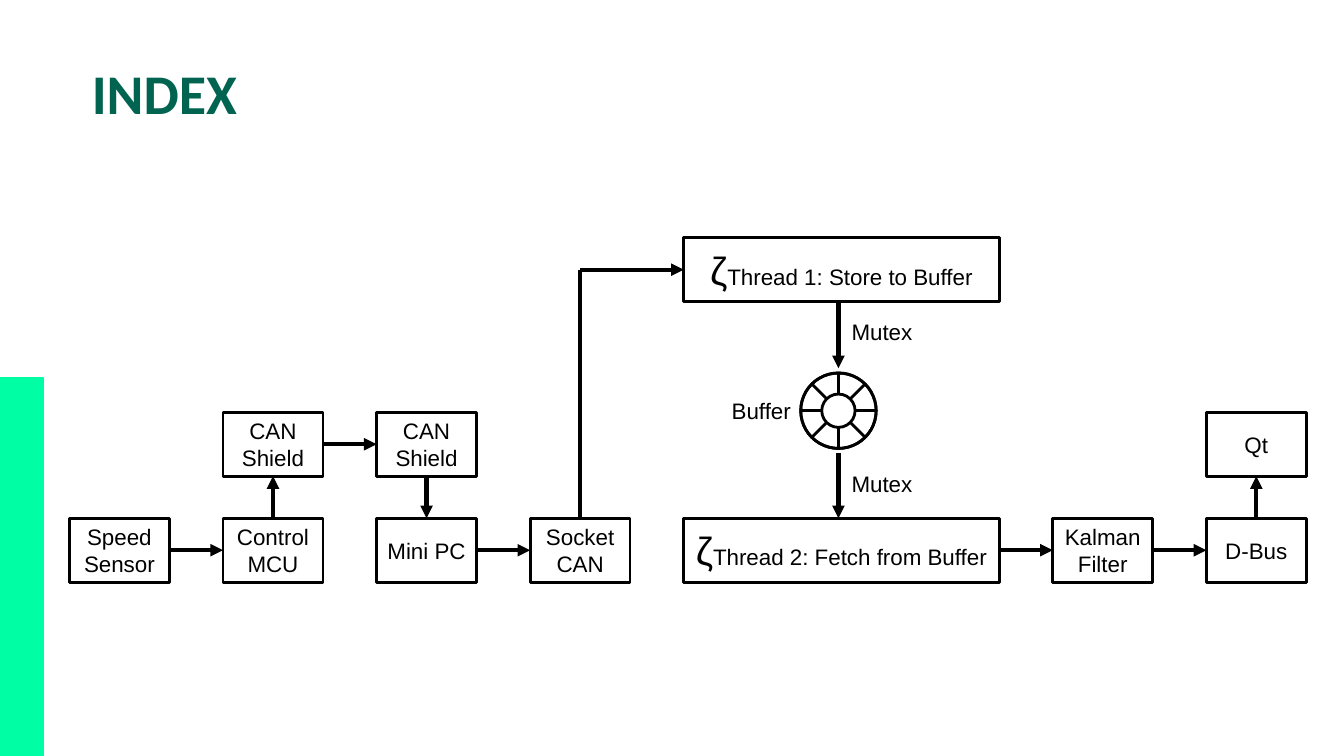
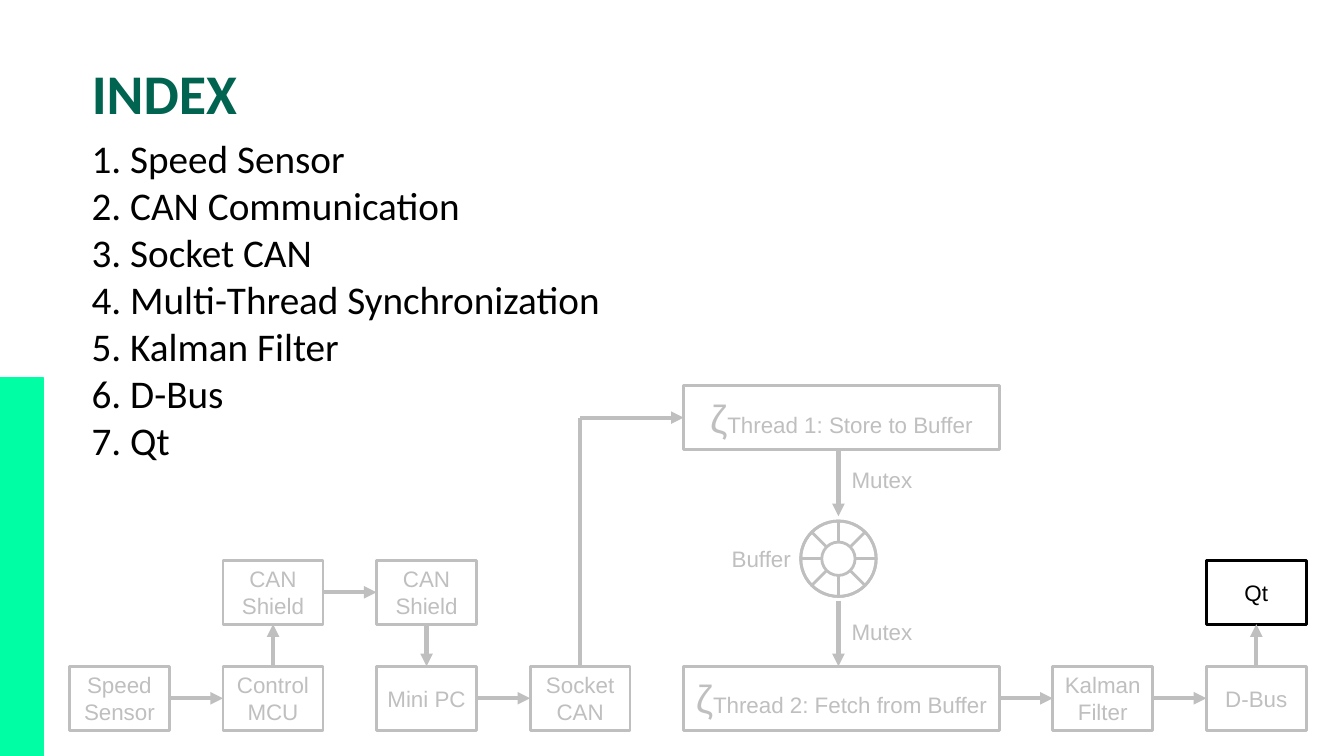
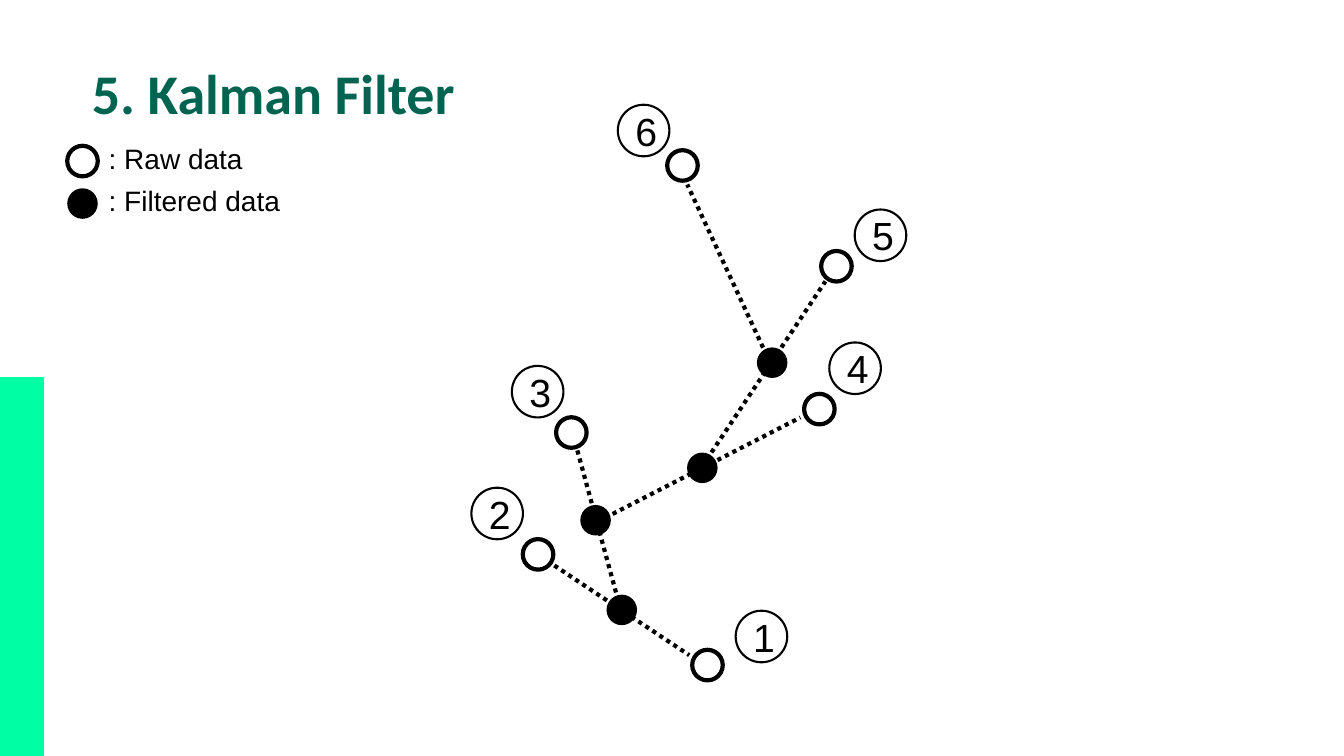
from pptx import Presentation
from pptx import util as u
from pptx.dml.color import RGBColor
from pptx.enum import dml, shapes as sh, text as tx
from pptx.oxml.ns import qn
from lxml import etree

Cm, Pt = u.Cm, u.Pt
BLACK, WHITE, GREY = "000000", "FFFFFF", "BFBFBF"
GREEN, MINT = "006451", "00FFA5"
LEFT, MID = tx.PP_ALIGN.LEFT, tx.PP_ALIGN.CENTER
KIND = sh.MSO_SHAPE


def color(code):
    return RGBColor.from_string(code)


class Deck:
    """Shared style and the slide being drawn."""

    def __init__(self):
        self.show = Presentation()
        self.show.slide_width, self.show.slide_height = Cm(33.87), Cm(19.05)
        self.slide = None

    def page(self, title):
        self.slide = self.show.slides.add_slide(self.show.slide_layouts[5])
        self.shape(KIND.RECTANGLE, 0, 9.53, 1.1, 9.52, MINT, MINT, 1)
        head = self.slide.shapes.title
        head.left, head.top, head.width, head.height = map(
            Cm, (2.06, 1.35, 21.51, 1.96))
        frame = head.text_frame
        frame.vertical_anchor = tx.MSO_ANCHOR.TOP
        frame.auto_size = tx.MSO_AUTO_SIZE.NONE
        self.words(frame, title, 40, GREEN, LEFT, "Calibri", True)

    def words(self, frame, words, size, ink, align=LEFT, face="Arial",
              bold=False):
        frame.word_wrap = True
        frame.text = words
        for para in frame.paragraphs:
            para.alignment = align
            font = para.font
            font.name, font.size, font.bold = face, Pt(size), bold
            font.color.rgb = color(ink)

    def label(self, x, y, w, h, words, size, ink=BLACK, face="Arial"):
        box = self.slide.shapes.add_textbox(Cm(x), Cm(y), Cm(w), Cm(h))
        self.words(box.text_frame, words, size, ink, face=face)

    def shape(self, kind, x, y, w, h, fill=None, line=None, width=2,
              home=None):
        home = home or self.slide
        item = home.shapes.add_shape(kind, Cm(x), Cm(y), Cm(w), Cm(h))
        item.shadow.inherit = False
        if fill:
            item.fill.solid()
            item.fill.fore_color.rgb = color(fill)
        else:
            item.fill.background()
        if line:
            item.line.color.rgb = color(line)
            item.line.width = Pt(width)
        else:
            item.line.fill.background()
        return item

    def disc(self, x, y, size, fill, line=None, width=2, home=None,
             kind=KIND.OVAL):
        """Round shape placed by its centre."""
        return self.shape(kind, x - size / 2, y - size / 2, size, size,
                          fill, line, width, home)

    def box(self, x, y, w, h, words, ink, sign=""):
        item = self.shape(KIND.RECTANGLE, x, y, w, h, WHITE, ink)
        frame = item.text_frame
        self.words(frame, words, 16, ink, MID)
        if sign:
            para = frame.paragraphs[0]
            para.runs[0].text = sign
            para.runs[0].font.size = Pt(28)
            run = para.add_run()
            run.text = words
            run.font.size = Pt(16)
        return item

    def line(self, x1, y1, x2, y2, ink=BLACK, head=False, dots=False):
        link = self.slide.shapes.add_connector(
            sh.MSO_CONNECTOR.STRAIGHT, Cm(x1), Cm(y1), Cm(x2), Cm(y2))
        link.line.color.rgb = color(ink)
        link.line.width = Pt(3)
        if dots:
            link.line.dash_style = dml.MSO_LINE.ROUND_DOT
        props = link._element.spPr
        if head:
            etree.SubElement(props.find(qn("a:ln")), qn("a:tailEnd"),
                             type="triangle")
        etree.SubElement(props, qn("a:effectLst"))
        return link

    def join(self, start, side, end, goal, ink):
        """Arrow between the side middles of two boxes."""
        link = self.line(0, 0, 1, 1, ink, True)
        link.begin_connect(start, side)
        link.end_connect(end, goal)


def flow(deck, base, ink, last):
    """Data flow; base is the top of its bottom row, last the Qt colour."""
    wide, high, gap, span = 2.52, 1.61, 1.35, 7.95
    cols = [1.75 + i * (wide + gap) for i in range(5)]
    cols += [cols[4] + span + gap + i * (wide + gap) for i in range(2)]
    upper, top = base - 2.67, base - 7.07

    # Boxes
    plan = {
        "sensor": (0, base, "Speed Sensor", ink),
        "board": (1, base, "Control\nMCU", ink),
        "send": (1, upper, "CAN\nShield", ink),
        "get": (2, upper, "CAN\nShield", ink),
        "host": (2, base, "Mini PC", ink),
        "socket": (3, base, "Socket\vCAN", ink),
        "filter": (5, base, "Kalman\nFilter", ink),
        "bus": (6, base, "D-Bus", ink),
        "view": (6, upper, "Qt", last),
    }
    box = {key: deck.box(cols[col], y, wide, high, words, tone)
           for key, (col, y, words, tone) in plan.items()}
    for key, y, words in (("store", top, "Thread 1: Store to Buffer"),
                          ("fetch", base, "Thread 2: Fetch from Buffer")):
        box[key] = deck.box(cols[4], y, span, high, words, ink, "ζ")

    # Arrows between boxes: 0 top, 1 left, 2 bottom, 3 right
    for start, side, end, goal in (
            ("sensor", 3, "board", 1), ("board", 0, "send", 2),
            ("send", 3, "get", 1), ("get", 2, "host", 0),
            ("host", 3, "socket", 1), ("fetch", 3, "filter", 1),
            ("filter", 3, "bus", 1), ("bus", 0, "view", 2)):
        deck.join(box[start], side, box[end], goal, ink)

    # Corner path from the socket to thread 1
    turn, mid = cols[3] + wide / 2, top + high / 2
    deck.line(turn, base, turn, mid, ink).begin_connect(box["socket"], 0)
    deck.line(turn, mid, cols[4], mid, ink, True).end_connect(box["store"], 1)

    # Ring buffer
    hub, eye = 21.13, base - 2.71
    ring = deck.slide.shapes.add_group_shape()
    for angle in (45, 0):
        wheel = deck.disc(hub, eye, 1.9, None, ink, home=ring,
                          kind=KIND.FLOWCHART_OR)
        wheel.rotation = angle
    deck.disc(hub, eye, 0.84, WHITE, ink, home=ring)
    deck.line(hub, top + high, hub, base - 3.78, ink, True)
    deck.line(hub, base - 1.65, hub, base, ink, True)
    for x, rise, words in ((18.19, 3.18, "Buffer"), (21.21, 5.16, "Mutex"),
                           (21.21, 1.35, "Mutex")):
        deck.label(x, base - rise, 2.21, 0.94, words, 16, ink)


def track(deck):
    """Raw and filtered points with their order."""
    size = 0.77
    raw = [(17.83, 16.76), (13.56, 13.97), (14.4, 10.9),
           (20.65, 10.31), (21.08, 6.71), (17.2, 4.17)]
    tags = [(19.19, 16.04), (12.53, 12.94), (13.55, 9.87),
            (21.55, 9.28), (22.19, 5.93), (16.22, 3.29)]
    clean = [(15.67, 15.37), (15.01, 13.11), (17.7, 11.79), (19.46, 9.14)]
    dotted = [(13.97, 14.25, 17.37, 16.51), (14.55, 11.35, 15.54, 14.99),
              (15.44, 12.95, 20.17, 10.52), (17.93, 11.4, 20.8, 7.09),
              (19.23, 8.76, 17.32, 4.65)]

    # Legend
    raw_key, clean_key = (2.08, 4.06), (2.08, 5.13)
    for (_, y), words in ((raw_key, ": Raw data"),
                          (clean_key, ": Filtered data")):
        deck.label(2.49, y - 0.63, 5.89, 1.12, words, 20)

    # Lines, points and numbers
    for ends in dotted:
        deck.line(*ends, dots=True)
    for x, y in [raw_key] + raw:
        deck.disc(x, y, size, WHITE, BLACK, 3)
    for x, y in [clean_key] + clean:
        deck.disc(x, y, size, BLACK)
    for num, (x, y) in enumerate(tags, 1):
        tag = deck.disc(x, y, 1.3, WHITE, BLACK, 1.5)
        deck.words(tag.text_frame, str(num), 28, BLACK, MID)


def main():
    deck = Deck()

    # Overview
    deck.page("INDEX")
    flow(deck, 13.06, BLACK, BLACK)

    # Contents, with the last step marked
    deck.page("INDEX")
    flow(deck, 16.79, GREY, BLACK)
    steps = ("Speed Sensor", "CAN Communication", "Socket CAN",
             "Multi-Thread Synchronization", "Kalman Filter", "D-Bus", "Qt")
    deck.label(2.06, 3.25, 21.51, 8.64,
               "\n".join(f"{n}. {step}" for n, step in enumerate(steps, 1)),
               28, face="Calibri")

    # Filter steps
    deck.page("5. Kalman Filter")
    track(deck)

    deck.show.save("out.pptx")


if __name__ == "__main__":
    main()
